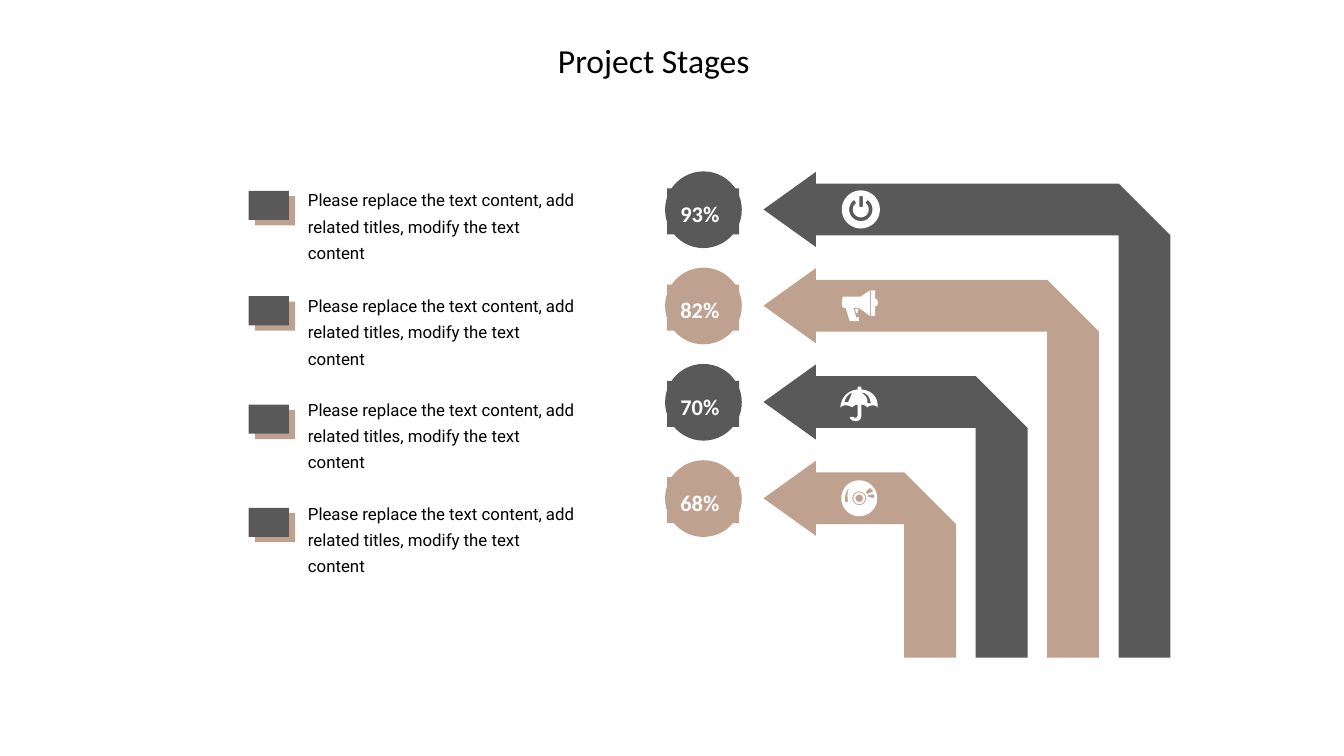
from dataclasses import dataclass
from math import cos, radians, sin

from pptx import Presentation
from pptx.dml.color import RGBColor
from pptx.enum.shapes import MSO_SHAPE
from pptx.enum.text import MSO_ANCHOR, MSO_AUTO_SIZE, PP_ALIGN
from pptx.util import Cm, Pt


@dataclass(frozen=True)
class Theme:
    """Colours, fonts and type sizes of the slide."""

    dark: RGBColor = RGBColor(0x59, 0x59, 0x59)
    tan: RGBColor = RGBColor(0xBF, 0xA1, 0x8F)
    white: RGBColor = RGBColor(0xFF, 0xFF, 0xFF)
    black: RGBColor = RGBColor(0, 0, 0)
    heading_font: str = "Calibri"
    body_font: str = "Roboto"
    title_size: Pt = Pt(18)
    percent_size: Pt = Pt(12)
    body_size: Pt = Pt(9)


THEME = Theme()
NOTE = "Please replace the text content, add related titles, modify the text content"
NOTE_ROWS = [(3.61, 3.48), (5.6, 5.48), (7.65, 7.44), (9.6, 9.4)]
STAGE_TOP, STAGE_PITCH = 3.96, 1.82
ICON_X = 16.26


def arc(cx, cy, radius, start=0, end=360):
    """Return points along an arc, with angles in degrees."""
    angles = [radians(start + (end - start) * i / 48) for i in range(49)]
    return [(cx + radius * cos(a), cy + radius * sin(a)) for a in angles]


def flatten(contour):
    """Turn points and cubic curve segments into plain points."""
    points = []
    for item in contour:
        if len(item) == 2:
            points.append(item)
            continue
        x0, y0 = points[-1]
        x1, y1, x2, y2, x3, y3 = item
        for i in range(1, 9):
            t, u = i / 8, 1 - i / 8
            a, b, c, d = u**3, 3 * u * u * t, 3 * u * t * t, t**3
            points.append((a * x0 + b * x1 + c * x2 + d * x3,
                           a * y0 + b * y1 + c * y2 + d * y3))
    return points


POWER = [
    arc(1, 0, 36),
    [(-2, -25), (5, -25), (5, -5), (-2, -5)],
    arc(1, 0, 22, -55, 235) + arc(1, 0, 15, 235, -55),
]
MEGAPHONE = [
    [(-33, -17), (0, -17), (18, -29), (18, 19), (0, 6), (-3, 4), (-13, 4),
     (-8, 22), (-3, 22), (-3, 29), (-20, 29), (-28, 4), (-33, 4),
     (-36, -3, -36, -9, -33, -17)],
    [(28, -14), (31, -12, 33, -9, 33, -6), (33, -2, 31, 1, 28, 1),
     (28, 19), (20, 19), (20, -29), (28, -29)],
    [(-3, 6), (-10, 6), (-8, 14), (-5, 14), (-5, 11)],
]
UMBRELLA = [
    [(-13, 28), (-10, 31, -6, 31, -5, 25), (-5, 5), (-10, 5, -13, 8, -15, 10),
     (-25, 5, -31, 5, -38, 10), (-35, -10, -25, -21, -5, -24), (-5, -29),
     (2, -29), (2, -24), (23, -21, 33, -10, 33, 10), (28, 5, 20, 5, 13, 10),
     (10, 7, 7, 5, 2, 5), (2, 25), (2, 33, -3, 36, -8, 36),
     (-14, 36, -19, 34, -20, 28)],
    [(13, 3), (15, 2, 18, 2, 20, 3), (18, -12, 10, -18, 2, -18),
     (10, -12, 15, -8, 13, 3)],
    [(-30, 0), (-23, 0), (-20, -5, -18, -13, -15, -18),
     (-23, -15, -28, -8, -30, 0)],
]
DISC = [
    arc(-2, 0, 34),
    arc(-2, 0, 13),
    arc(-2, 0, 11),
    arc(-2, 0, 7),
    [(-20, -22), (-28, -12, -31, -2, -28, 8), (-23, 6),
     (-25, -4, -25, -12, -20, -22)],
    [(10, -12), (12, -10), (13, -8), (25, -13), (23, -15), (18, -20)],
    [(13, -5), (15, -3), (25, 0), (26, -4), (25, -8)],
]
STAGES = [("93%", THEME.dark, POWER), ("82%", THEME.tan, MEGAPHONE),
          ("70%", THEME.dark, UMBRELLA), ("68%", THEME.tan, DISC)]


def paint(sp, color):
    """Give a shape a plain fill without line or shadow."""
    sp.shadow.inherit = False
    sp.fill.solid()
    sp.fill.fore_color.rgb = color
    sp.line.fill.background()


def add_block(s, kind, x, y, w, h, color):
    """Add a plain preset shape."""
    sp = s.shapes.add_shape(kind, Cm(x), Cm(y), Cm(w), Cm(h))
    paint(sp, color)
    return sp


def add_outline(s, contours, color, x=0, y=0, unit=1):
    """Add one freeform made of closed contours, measured from x and y."""
    outlines = [[(Cm(px * unit), Cm(py * unit)) for px, py in flatten(c)]
                for c in contours]
    builder = s.shapes.build_freeform(*outlines[0][0])
    builder.add_line_segments(outlines[0][1:])
    for points in outlines[1:]:
        builder.move_to(*points[0])
        builder.add_line_segments(points[1:])
    paint(builder.convert_to_shape(Cm(x), Cm(y)), color)


def set_text(sp, text, font, size, color, bold=False, spacing=1.0,
             align=PP_ALIGN.LEFT, wrap=True):
    """Write one formatted paragraph at the top of a shape."""
    tf = sp.text_frame
    tf.text = text
    tf.word_wrap = wrap
    tf.auto_size = MSO_AUTO_SIZE.NONE
    tf.vertical_anchor = MSO_ANCHOR.TOP
    p = tf.paragraphs[0]
    p.alignment, p.line_spacing = align, spacing
    r = p.runs[0]
    r.font.name, r.font.size, r.font.bold = font, size, bold
    r.font.color.rgb = color


def add_title(s, text):
    """Place and format the title placeholder."""
    sp = s.shapes.title
    sp.left, sp.top, sp.width, sp.height = Cm(10.29), Cm(0.63), Cm(4.85), Cm(1.02)
    set_text(sp, text, THEME.heading_font, THEME.title_size, THEME.black)


def add_badge(s, y, percent, color):
    """Add a circle with its percentage, centred on y."""
    add_block(s, MSO_SHAPE.OVAL, 12.57, y - 0.72, 1.45, 1.45, color)
    sp = add_block(s, MSO_SHAPE.RECTANGLE, 12.61, y - 0.4, 1.36, 0.87, color)
    set_text(sp, percent, THEME.heading_font, THEME.percent_size, THEME.white,
             bold=True, spacing=1.2, align=PP_ALIGN.JUSTIFY, wrap=False)


def add_bent_arrow(s, y, right, color):
    """Add an arrow rising from the base and turning left at height y."""
    tip, neck, base, band, head = 14.43, 15.42, 12.43, 0.98, 0.71
    top, bottom, inner = y - band / 2, y + band / 2, right - band
    add_outline(s, [[(tip, y), (neck, y - head), (neck, top), (inner, top),
                     (right, bottom), (right, base), (inner, base),
                     (inner, bottom), (neck, bottom), (neck, y + head)]], color)


def add_note(s, marker_y, text_y):
    """Add a doubled square marker and its paragraph."""
    add_block(s, MSO_SHAPE.RECTANGLE, 4.82, marker_y + 0.1, 0.76, 0.55, THEME.tan)
    add_block(s, MSO_SHAPE.RECTANGLE, 4.7, marker_y, 0.76, 0.55, THEME.dark)
    sp = s.shapes.add_textbox(Cm(5.82), Cm(text_y), Cm(5.03), Cm(1.5))
    tf = sp.text_frame
    tf.margin_left = tf.margin_right = tf.margin_top = tf.margin_bottom = 0
    set_text(sp, NOTE, THEME.body_font, THEME.body_size, THEME.black, spacing=1.3)


def main():
    """Build and save the slide."""
    prs = Presentation()
    prs.slide_width, prs.slide_height = Cm(25.4), Cm(14.29)
    s = prs.slides.add_slide(prs.slide_layouts[5])
    add_title(s, "Project Stages")
    for i, (percent, color, icon) in enumerate(STAGES):
        y = STAGE_TOP + i * STAGE_PITCH
        add_badge(s, y, percent, color)
        add_bent_arrow(s, y, 22.12 - i * 1.35, color)
        add_outline(s, icon, THEME.white, ICON_X, y, unit=0.01)
    for marker_y, text_y in NOTE_ROWS:
        add_note(s, marker_y, text_y)
    prs.save("out.pptx")


if __name__ == "__main__":
    main()
